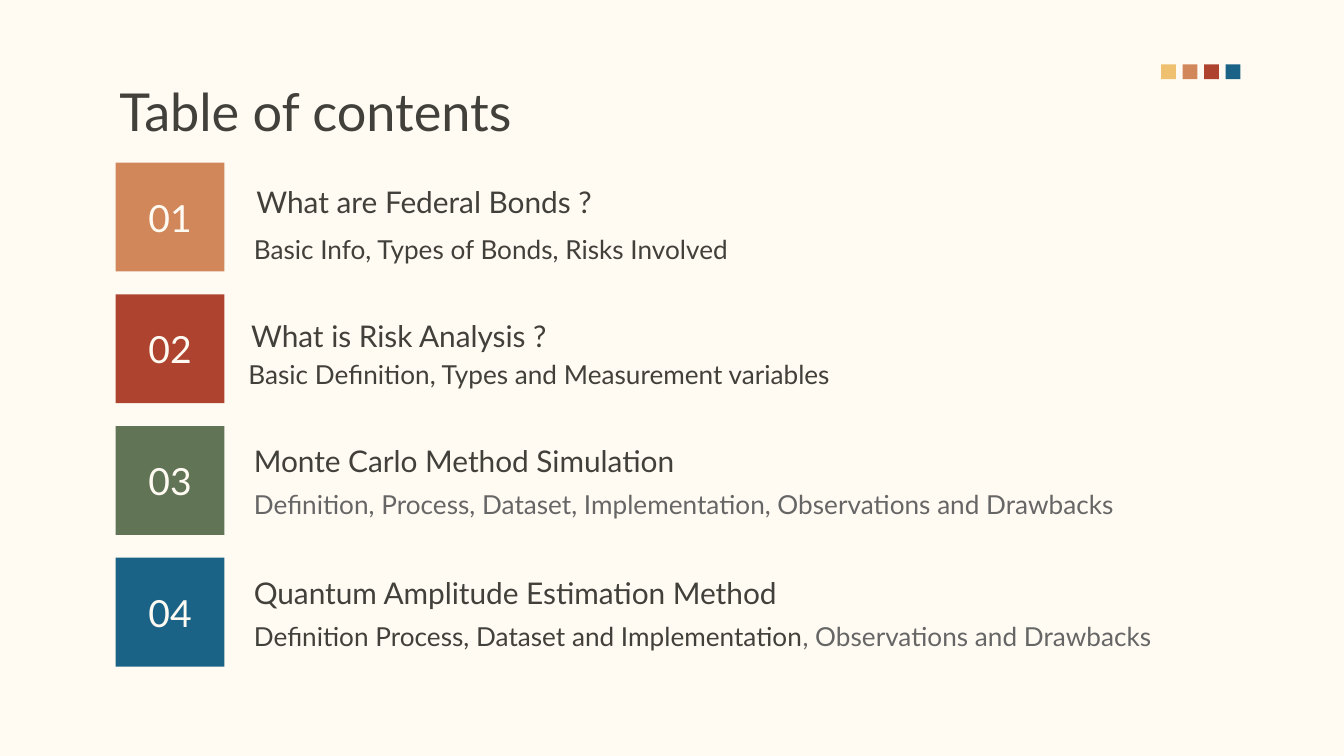
from dataclasses import dataclass
from pptx import Presentation
from pptx.dml.color import RGBColor
from pptx.enum.shapes import MSO_SHAPE
from pptx.enum.text import MSO_ANCHOR, PP_ALIGN
from pptx.util import Inches, Pt


@dataclass(frozen=True)
class Theme:
    font: str = "Lato"
    paper: str = "FFFAF2"
    ink: str = "41403A"
    gray: str = "666666"
    gold: str = "EFC070"
    clay: str = "D1875A"
    rust: str = "AE442F"
    moss: str = "627456"
    blue: str = "1A6386"
    title: int = 28
    number: int = 20
    head: int = 16
    detail: int = 14


THEME = Theme()

ROWS = [
    ("01", THEME.clay, "What are Federal Bonds ?", (0.95, 0.03),
     [("Basic Info, Types of Bonds, Risks Involved", THEME.ink)], (0.93, 0.39)),
    ("02", THEME.rust, "What is Risk Analysis ?", (0.91, 0.05),
     [("Basic Definition, Types and Measurement variables", THEME.ink)], (0.89, 0.34)),
    ("03", THEME.moss, "Monte Carlo Method Simulation", (0.93, 0),
     [("Definition, Process, Dataset, Implementation, Observations and Drawbacks",
       THEME.gray)], (0.93, 0.33)),
    ("04", THEME.blue, "Quantum Amplitude Estimation Method", (0.93, 0),
     [("Definition Process, Dataset and Implementation", THEME.ink),
      (", Observations and Drawbacks", THEME.gray)], (0.93, 0.33)),
]


def add_square(slide, left, top, side, color):
    square = slide.shapes.add_shape(
        MSO_SHAPE.RECTANGLE, Inches(left), Inches(top), Inches(side), Inches(side))
    square.shadow.inherit = False
    square.fill.solid()
    square.fill.fore_color.rgb = RGBColor.from_string(color)
    square.line.fill.background()


def add_text(slide, left, top, width, height, runs, size,
             anchor=MSO_ANCHOR.TOP, align=PP_ALIGN.LEFT, spacing=1.0):
    box = slide.shapes.add_textbox(
        Inches(left), Inches(top), Inches(width), Inches(height))
    frame = box.text_frame
    frame.word_wrap = True
    frame.vertical_anchor = anchor
    frame.margin_left = frame.margin_right = Inches(0.1)
    frame.margin_top = frame.margin_bottom = Inches(0.1)
    line = frame.paragraphs[0]
    line.alignment = align
    line.line_spacing = spacing
    for text, color in runs:
        run = line.add_run()
        run.text = text
        run.font.name = THEME.font
        run.font.size = Pt(size)
        run.font.color.rgb = RGBColor.from_string(color)


def add_swatches(slide, left, top, side, pitch):
    for i, color in enumerate((THEME.gold, THEME.clay, THEME.rust, THEME.blue)):
        add_square(slide, left + i * pitch, top, side, color)


def add_row(slide, left, top, side, row):
    number, color, head, head_at, detail, detail_at = row
    add_square(slide, left, top, side, color)
    add_text(slide, left - 0.07, top + 0.16, 0.95, 0.49, [(number, THEME.paper)],
             THEME.number, MSO_ANCHOR.MIDDLE, PP_ALIGN.CENTER)
    add_text(slide, left + head_at[0], top + head_at[1], 7.42, 0.49,
             [(head, THEME.ink)], THEME.head, MSO_ANCHOR.BOTTOM, spacing=1.15)
    add_text(slide, left + detail_at[0], top + detail_at[1], 7.42, 0.41,
             detail, THEME.detail, spacing=1.15)


def add_contents(slide, left, top, side, pitch):
    for i, row in enumerate(ROWS):
        add_row(slide, left, top + i * pitch, side, row)


def main():
    deck = Presentation()
    deck.slide_width = Inches(10)
    deck.slide_height = deck.slide_width * 9 // 16
    slide = deck.slides.add_slide(deck.slide_layouts[6])
    slide.background.fill.solid()
    slide.background.fill.fore_color.rgb = RGBColor.from_string(THEME.paper)
    add_swatches(slide, 8.64, 0.48, 0.11, 0.16)
    add_text(slide, 0.79, 0.49, 8.43, 0.63,
             [("Table of contents", THEME.ink)], THEME.title)
    add_contents(slide, 0.86, 1.21, 0.81, 0.98)
    deck.save("out.pptx")


if __name__ == "__main__":
    main()
